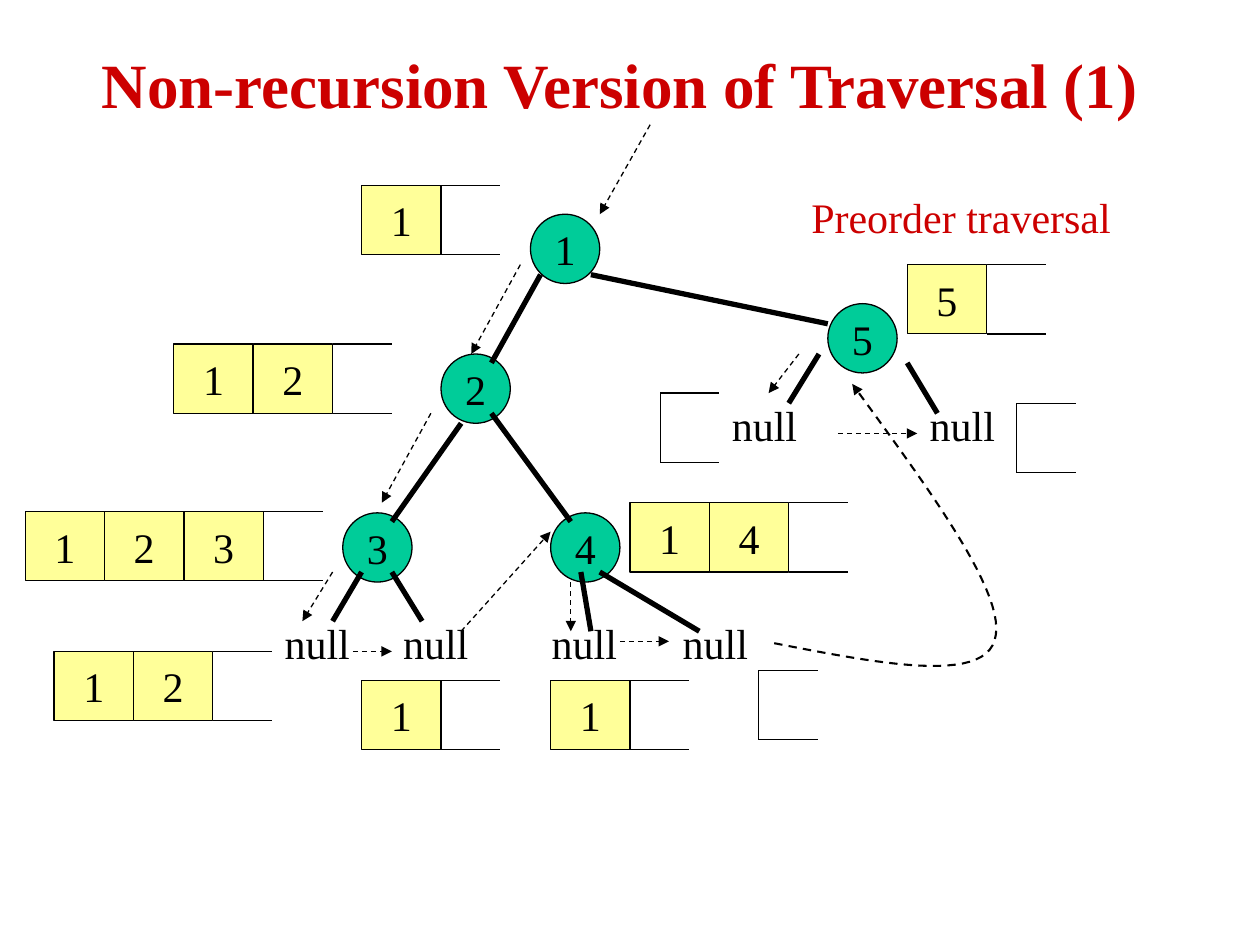
"""Build a slide that traces a preorder tree traversal with an explicit stack."""
import lxml.etree
import pptx
import pptx.dml.color
import pptx.enum.dml
import pptx.enum.shapes
import pptx.enum.text
import pptx.oxml.ns
import pptx.util

Inches = pptx.util.Inches
RED = pptx.dml.color.RGBColor(0xCC, 0x00, 0x00)
BLACK = pptx.dml.color.RGBColor(0x00, 0x00, 0x00)
GREEN = pptx.dml.color.RGBColor(0x00, 0xCC, 0x99)
YELLOW = pptx.dml.color.RGBColor(0xFF, 0xFF, 0x99)
CENTER = pptx.enum.text.PP_ALIGN.CENTER
LEFT = pptx.enum.text.PP_ALIGN.LEFT
SHAPES = pptx.enum.shapes.MSO_SHAPE
qn = pptx.oxml.ns.qn

NODES = [("1", 4.21, 1.7), ("2", 3.5, 2.81), ("3", 2.72, 4.07),
         ("4", 4.37, 4.07), ("5", 6.57, 2.41)]
STACKS = [("123", 0.2, 4.06), ("12", 1.38, 2.73), ("1", 2.87, 1.47),
          ("14", 5, 3.99), ("5", 7.2, 2.1), ("12", 0.43, 5.17),
          ("1", 2.87, 5.4), ("1", 4.37, 5.4), ("", 6.02, 5.32),
          ("", 5.24, 3.12), ("", 8.07, 3.2)]
NULLS = [(2.16, 4.85), (3.1, 4.85), (4.28, 4.85), (5.32, 4.85),
         (5.71, 3.12), (7.28, 3.12)]
BRANCHES = [(4.29, 2.18, 3.9, 2.88), (3.66, 3.36, 3.11, 4.14),
            (3.9, 3.28, 4.53, 4.14), (4.69, 2.18, 6.57, 2.57),
            (2.87, 4.54, 2.64, 4.93), (3.11, 4.54, 3.35, 4.93),
            (4.61, 4.54, 4.69, 5.01), (4.76, 4.54, 5.55, 5.01),
            (6.5, 2.81, 6.26, 3.2), (7.2, 2.88, 7.44, 3.28)]
VISITS = [(5.16, 0.99, 4.76, 1.7), (4.13, 2.1, 3.74, 2.81),
          (3.42, 3.28, 3.03, 3.99), (2.64, 4.54, 2.4, 4.93),
          (2.8, 5.17, 3.11, 5.17), (3.66, 5.01, 4.37, 4.22),
          (4.53, 4.62, 4.53, 5.01), (4.92, 5.09, 5.31, 5.09),
          (6.34, 2.81, 6.1, 3.12), (6.65, 3.44, 7.28, 3.44)]
RETURN_CURVES = [((6.55, 5.48), (7.37, 5.26), (8.17, 5.04), (8.11, 4.69)),
                 ((8.11, 4.69), (8.06, 4.33), (7.13, 3.85), (6.2, 3.36))]


def write_text(frame, text, *, size=24, color=BLACK, bold=False, align=CENTER,
               wrap=False, anchor=pptx.enum.text.MSO_ANCHOR.MIDDLE):
    """Put one formatted paragraph into a text frame."""
    frame.text = text
    frame.word_wrap = wrap
    frame.vertical_anchor = anchor
    paragraph = frame.paragraphs[0]
    paragraph.alignment = align
    font = paragraph.runs[0].font
    font.name = "Times New Roman"
    font.size = pptx.util.Pt(size)
    font.bold = bold
    font.color.rgb = color


def bezier_point(curve, t):
    """Return the point of a cubic curve at parameter t."""
    weights = ((1 - t) ** 3, 3 * t * (1 - t) ** 2, 3 * t ** 2 * (1 - t), t ** 3)
    return tuple(Inches(sum(w * point[axis] for w, point in zip(weights, curve)))
                 for axis in (0, 1))


class TraversalSlide:
    """Hold the slide and the shared style of its elements."""

    cell_width, cell_height, open_end = 0.63, 0.55, 0.47
    node_size = 0.55
    thin, thick = 0.75, 3

    def __init__(self, slide):
        """Keep the slide to draw on."""
        self.slide = slide
        self.shapes = slide.shapes

    def title(self, text):
        """Fill and place the title placeholder."""
        heading = self.shapes.title
        heading.left, heading.top = Inches(0.67), Inches(0)
        heading.width, heading.height = Inches(8.5), Inches(1.25)
        write_text(heading.text_frame, text, size=36, color=RED, bold=True, wrap=True)
        heading.text_frame.margin_top = Inches(0.12)

    def label(self, text, left, top, width, color=BLACK):
        """Add a one-line label."""
        label = self.shapes.add_textbox(Inches(left), Inches(top), Inches(width), Inches(0.5))
        write_text(label.text_frame, text, color=color, align=LEFT,
                   anchor=pptx.enum.text.MSO_ANCHOR.TOP)

    def outline(self, shape, weight, arrow=False):
        """Style a line, dashed with an arrowhead if asked."""
        shape.line.color.rgb = BLACK
        shape.line.width = pptx.util.Pt(weight)
        if arrow:
            shape.line.dash_style = pptx.enum.dml.MSO_LINE.DASH
            line = shape._element.spPr.find(qn("a:ln"))
            lxml.etree.SubElement(line, qn("a:tailEnd"), type="triangle")

    def box(self, kind, text, left, top, width, height, fill, parent=None):
        """Add a filled shape with centred text."""
        box = (parent or self.shapes).add_shape(
            kind, Inches(left), Inches(top), Inches(width), Inches(height))
        box.shadow.inherit = False
        box.fill.solid()
        box.fill.fore_color.rgb = fill
        self.outline(box, self.thin)
        write_text(box.text_frame, text)

    def node(self, value, left, top):
        """Add a tree node."""
        self.box(SHAPES.OVAL, value, left, top, self.node_size, self.node_size, GREEN)

    def line(self, x1, y1, x2, y2, weight=thin, arrow=False, parent=None):
        """Add a straight line."""
        line = (parent or self.shapes).add_connector(
            pptx.enum.shapes.MSO_CONNECTOR.STRAIGHT,
            Inches(x1), Inches(y1), Inches(x2), Inches(y2))
        self.outline(line, weight, arrow)
        lxml.etree.SubElement(line._element.spPr, qn("a:effectLst"))

    def stack(self, values, left, top):
        """Add a stack that is open at its right end."""
        group = self.shapes.add_group_shape().shapes
        for index, value in enumerate(values):
            self.box(SHAPES.RECTANGLE, value, left + index * self.cell_width, top,
                     self.cell_width, self.cell_height, YELLOW, group)
        end = left + len(values) * self.cell_width
        bottom = top + self.cell_height
        for y in (top, bottom):
            self.line(end, y, end + self.open_end, y, parent=group)
        if not values:
            self.line(left, bottom, left, top, parent=group)

    def curved_arrow(self, curves, rotation, steps=24):
        """Add a dashed arrow along joined cubic curves."""
        points = [bezier_point(curve, step / steps)
                  for curve in curves for step in range(steps + 1)]
        builder = self.shapes.build_freeform(*points[0])
        builder.add_line_segments(points[1:], close=False)
        arrow = builder.convert_to_shape()
        arrow.rotation = rotation
        arrow.shadow.inherit = False
        arrow.fill.background()
        self.outline(arrow, 1.19, arrow=True)


def main():
    """Build and save the slide."""
    deck = pptx.Presentation()
    deck.slide_width, deck.slide_height = Inches(10), Inches(7.5)
    tree = TraversalSlide(deck.slides.add_slide(deck.slide_layouts[5]))
    tree.title("Non-recursion Version of Traversal (1)")
    for node in NODES:
        tree.node(*node)
    for branch in BRANCHES:
        tree.line(*branch, weight=tree.thick)
    tree.label("Preorder traversal", 6.34, 1.47, 2.58, RED)
    for stack in STACKS:
        tree.stack(*stack)
    for left, top in NULLS:
        tree.label("null", left, top, 0.72)
    for visit in VISITS:
        tree.line(*visit, arrow=True)
    tree.curved_arrow(RETURN_CURVES, 26.1)
    deck.save("out.pptx")


if __name__ == "__main__":
    main()
